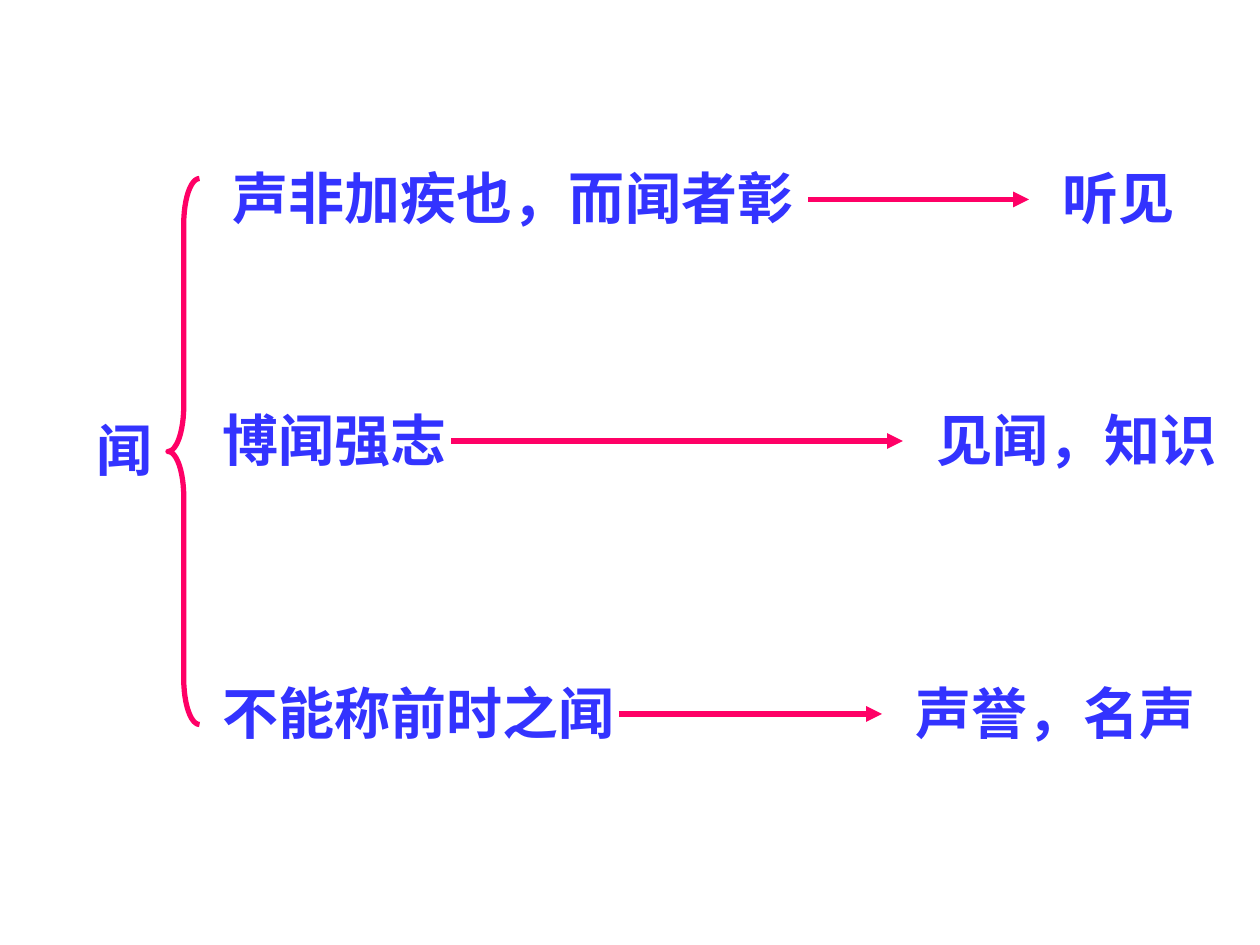
from pptx import Presentation
from pptx.dml.color import RGBColor
from pptx.enum.shapes import MSO_CONNECTOR, MSO_SHAPE
from pptx.enum.text import MSO_AUTO_SIZE
from pptx.oxml.ns import qn
from pptx.util import Pt
from lxml import etree

SLIDE_WIDTH, SLIDE_HEIGHT = 720, 540
TEXT_BLUE = RGBColor(0x33, 0x33, 0xFF)
ACCENT_PINK = RGBColor(0xFF, 0x00, 0x66)
LABEL_FONT = {"name": "Times New Roman", "size": Pt(32), "bold": True}
LABEL_HEIGHT = 45
ARROW_DROP = 24    # from the top of a row to its arrow
MEANING_GAP = 12   # from an arrowhead to the meaning

# phrase, its left and width, arrow start and end, meaning, row top
SENSES = [
    ("声非加疾也，而闻者彰", 126, 348, 462, 588, "听见", 90),
    ("博闻强志", 120, 252, 258, 516, "见闻，知识", 228),
    ("不能称前时之闻", 120, 258, 354, 504, "声誉，名声", 384),
]


def add_label(slide, wording, left, top, width):
    label = slide.shapes.add_textbox(Pt(left), Pt(top), Pt(width), Pt(LABEL_HEIGHT))
    frame = label.text_frame
    frame.word_wrap = True
    frame.auto_size = MSO_AUTO_SIZE.SHAPE_TO_FIT_TEXT
    run = frame.paragraphs[0].add_run()
    run.text = wording
    for attribute, setting in LABEL_FONT.items():
        setattr(run.font, attribute, setting)
    run.font.color.rgb = TEXT_BLUE


def style_line(line):
    line.color.rgb = ACCENT_PINK
    line.width = Pt(3)


def add_arrow(slide, start, end, y):
    arrow = slide.shapes.add_connector(
        MSO_CONNECTOR.STRAIGHT, Pt(start), Pt(y), Pt(end), Pt(y))
    style_line(arrow.line)
    properties = arrow._element.spPr
    etree.SubElement(properties.find(qn("a:ln")), qn("a:tailEnd"), type="triangle")
    etree.SubElement(properties, qn("a:effectLst"))


def add_brace(slide, left, top, width, height):
    brace = slide.shapes.add_shape(
        MSO_SHAPE.LEFT_BRACE, Pt(left), Pt(top), Pt(width), Pt(height))
    brace.adjustments[0] = 1.44
    brace.adjustments[1] = 0.5
    brace.shadow.inherit = False
    brace.fill.background()
    style_line(brace.line)


def add_sense(slide, phrase, left, width, arrow_start, arrow_end, meaning, top):
    """Place one row: the phrase, an arrow, and the meaning up to the slide edge."""
    add_label(slide, phrase, left, top, width)
    add_arrow(slide, arrow_start, arrow_end, top + ARROW_DROP)
    meaning_left = arrow_end + MEANING_GAP
    add_label(slide, meaning, meaning_left, top, SLIDE_WIDTH - meaning_left)


def main():
    deck = Presentation()
    deck.slide_width, deck.slide_height = Pt(SLIDE_WIDTH), Pt(SLIDE_HEIGHT)
    slide = deck.slides.add_slide(deck.slide_layouts[6])
    add_label(slide, "闻", 48, 234, 72)
    add_brace(slide, 96, 102, 18, 312)
    for sense in SENSES:
        add_sense(slide, *sense)
    deck.save("out.pptx")


if __name__ == "__main__":
    main()
